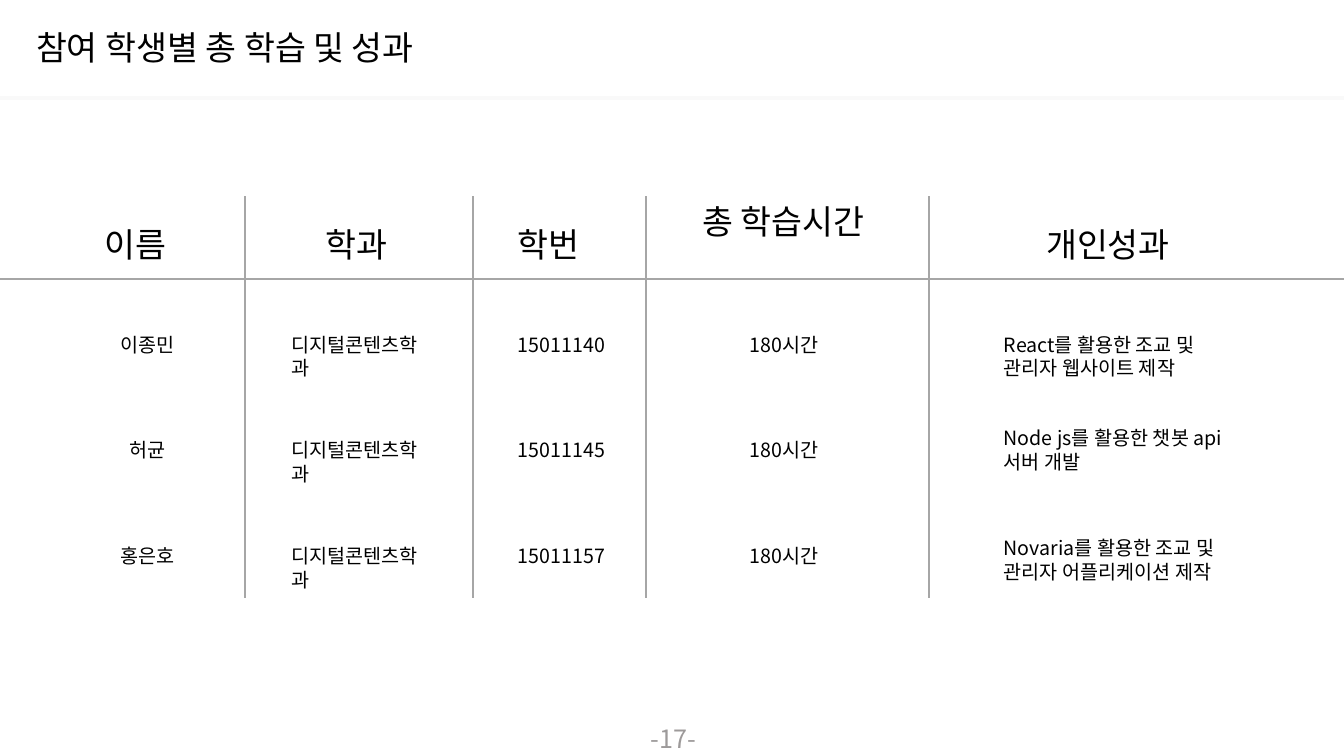
from lxml import etree
from pptx import Presentation
from pptx.dml.color import RGBColor
from pptx.enum import shapes, text
from pptx.oxml import ns
from pptx.util import Pt

FONT = "Noto Sans CJK KR"
COLORS = {"text": "000000", "title_rule": "F9F9F9", "grid": "A6A6A6", "page": "9D9A9A"}
WIDTH, HEIGHT = 960, 540

HEADERS = [
    ("이름", 67.7, 156.6, 61.2),
    ("학과", 225.4, 156.6, 61.2),
    ("학번", 362.9, 156.6, 61.2),
    ("총 학습시간", 494.4, 139.7, 149),
    ("개인성과", 740.2, 156.6, 105.8),
]
DEPARTMENT = "디지털콘텐츠학과"
HOURS = "180시간"
DEPARTMENT_LEFT, NUMBER_LEFT, HOURS_LEFT, RESULT_LEFT = 200.9, 362.9, 528.5, 709.9
STUDENTS = [
    ("이종민", 78.7, "15011140", 64.1, "React를 활용한 조교 및 관리자 웹사이트 제작", 234, 169.2),
    ("허균", 85.2, "15011145", 69.8, "Node js를 활용한 챗봇 api 서버 개발", 301, 182.2),
    ("홍은호", 78.7, "15011157", 69.8, "Novaria를 활용한 조교 및 관리자 어플리케이션 제작", 379.4, 169.2),
]
FIRST_ROW, ROW_STEP = 234, 75.6
TABLE_TOP, TABLE_BOTTOM, HEADER_RULE = 139.7, 427, 199.4
DIVIDERS = [175, 337.7, 461.5, 663.8]


def add_text(slide, content, left, top, width, height, size=14, color="text", wrap=True):
    shape = slide.shapes.add_textbox(Pt(left), Pt(top), Pt(width), Pt(height))
    frame = shape.text_frame
    frame.word_wrap = wrap
    frame.auto_size = text.MSO_AUTO_SIZE.SHAPE_TO_FIT_TEXT
    paragraph = frame.paragraphs[0]
    paragraph.text = content
    paragraph.font.size = Pt(size)
    paragraph.font.color.rgb = RGBColor.from_string(COLORS[color])
    paragraph.font.name = FONT
    defaults = paragraph._p.pPr.find(ns.qn("a:defRPr"))
    etree.SubElement(defaults, ns.qn("a:ea")).set("typeface", FONT)
    return frame


def add_rule(slide, start, end, color="grid", weight=1.5):
    points = [Pt(value) for value in (*start, *end)]
    connector = slide.shapes.add_connector(shapes.MSO_CONNECTOR.STRAIGHT, *points)
    connector.line.color.rgb = RGBColor.from_string(COLORS[color])
    connector.line.width = Pt(weight)
    etree.SubElement(connector._element.spPr, ns.qn("a:effectLst"))


def add_title(slide, content):
    frame = add_text(slide, content, 18.7, 15.1, 691.2, 40.3, size=24)
    frame.auto_size = text.MSO_AUTO_SIZE.NONE
    frame.vertical_anchor = text.MSO_ANCHOR.MIDDLE
    frame.paragraphs[0].line_spacing = 0.9
    add_rule(slide, (WIDTH, 69.8), (0, 69.8), "title_rule", 3)


def add_student(slide, top, student):
    name, name_left, number, hours_width, result, result_top, result_width = student
    add_text(slide, name, name_left, top, 80, 24.5)
    add_text(slide, DEPARTMENT, DEPARTMENT_LEFT, top, 115.9, 24.5)
    add_text(slide, number, NUMBER_LEFT, top, 115.9, 24.5)
    add_text(slide, HOURS, HOURS_LEFT, top, hours_width, 24.5)
    add_text(slide, result, RESULT_LEFT, result_top, result_width, 41)


def main():
    presentation = Presentation()
    presentation.slide_width, presentation.slide_height = Pt(WIDTH), Pt(HEIGHT)
    slide = presentation.slides.add_slide(presentation.slide_layouts[6])
    add_title(slide, "참여 학생별 총 학습 및 성과")
    for label, left, top, width in HEADERS:
        add_text(slide, label, left, top, width, 36, size=24)
    for index, student in enumerate(STUDENTS):
        add_student(slide, FIRST_ROW + index * ROW_STEP, student)
    add_rule(slide, (WIDTH, HEADER_RULE), (0, HEADER_RULE))
    for left in DIVIDERS:
        add_rule(slide, (left, TABLE_BOTTOM), (left, TABLE_TOP))
    add_text(slide, "-17-", 457.9, 513.4, 54, 28.8, size=18, color="page", wrap=False)
    presentation.save("out.pptx")


if __name__ == "__main__":
    main()
